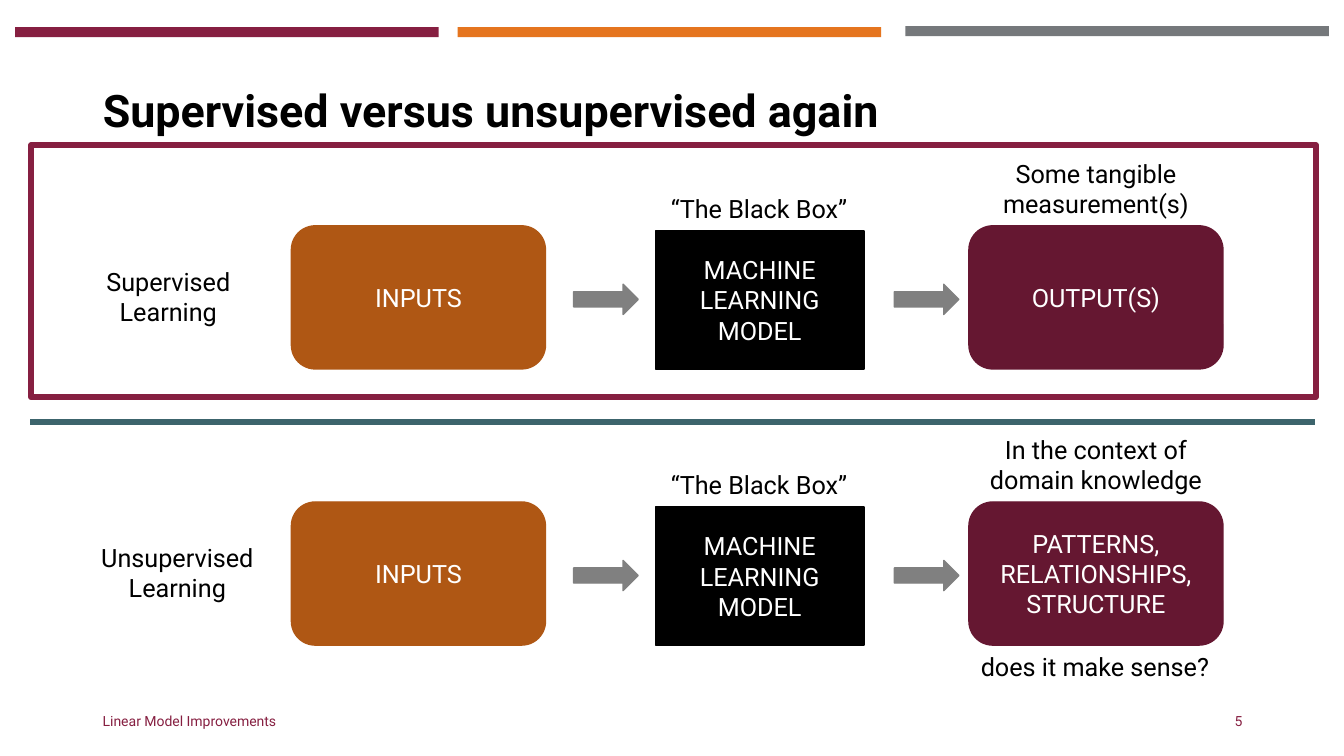
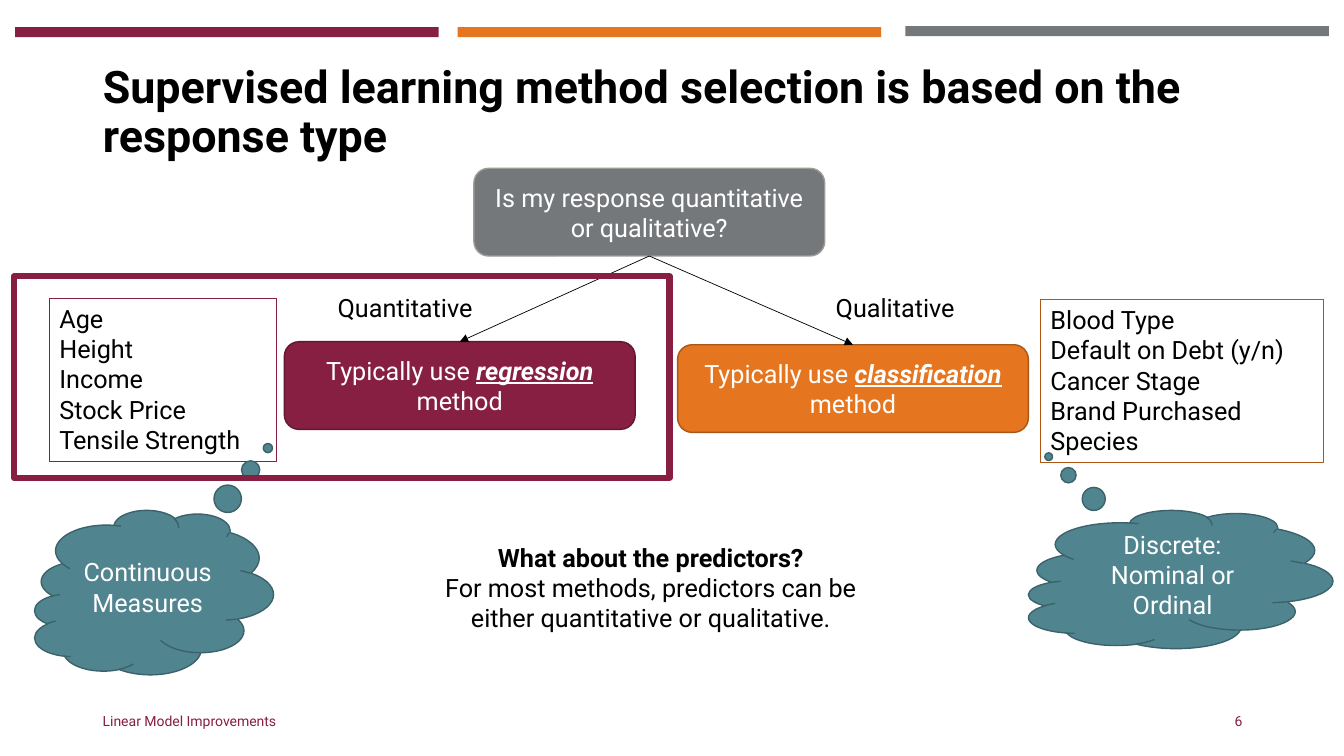
from lxml import etree
from pptx import Presentation
from pptx.dml.color import RGBColor
from pptx.enum.shapes import MSO_CONNECTOR, MSO_SHAPE
from pptx.enum.text import MSO_ANCHOR, MSO_AUTO_SIZE, PP_ALIGN
from pptx.oxml.ns import qn
from pptx.util import Inches, Pt

RECT, ROUNDED = MSO_SHAPE.RECTANGLE, MSO_SHAPE.ROUNDED_RECTANGLE
ARROW, CLOUD = MSO_SHAPE.RIGHT_ARROW, MSO_SHAPE.CLOUD_CALLOUT
STRAIGHT = MSO_CONNECTOR.STRAIGHT
LEFT, CENTER, RIGHT = PP_ALIGN.LEFT, PP_ALIGN.CENTER, PP_ALIGN.RIGHT
TOP, MIDDLE = MSO_ANCHOR.TOP, MSO_ANCHOR.MIDDLE
NO_AUTOFIT = MSO_AUTO_SIZE.NONE
TITLE_ONLY = 5
BOTTOM_SITE, TOP_SITE = 2, 0

FONT = "Roboto"
BODY_SIZE, TITLE_SIZE, FOOTER_SIZE = 18, 32, 10
COLORS = {
    "black": "000000", "white": "FFFFFF", "maroon": "861F41",
    "dark maroon": "651731", "maroon edge": "631730",
    "orange": "E5751F", "burnt orange": "AF5714", "orange edge": "A95717",
    "gray": "75787B", "gray edge": "9F9B96", "arrow gray": "808080",
    "teal": "508590", "teal edge": "3B626B", "divider": "3C646C",
}

SLIDE_W, SLIDE_H = 13.33, 7.5
MARGIN, CONTENT_W = 0.92, 11.5
BAND_W, BAND_H = 4.2, 0.1
BANDS = [("maroon", 0.15, 0.27), ("orange", 4.54, 0.27), ("gray", 8.98, 0.26)]
FOOTER_TOP, FOOTER_H = 6.95, 0.4
LINE_H, TWO_LINES_H = 0.4, 0.71

# Columns of the process rows
INPUT_X, MODEL_X, OUTPUT_X = 2.89, 6.5, 9.61
ARROW_XS = (5.69, 8.87)
BOX_W, BOX_H = 2.52, 1.42
MODEL_W, MODEL_H = 2.07, 1.37
ROW_TOP, ROW_STEP = 2.24, 2.74

# Decision tree
CHOICE_W, CHOICE_H = 3.48, 0.87


def rgb(name):
    return RGBColor.from_string(COLORS[name])


def inches(*lengths):
    return [Inches(length) for length in lengths]


def style_paragraph(paragraph, size, color, align):
    paragraph.alignment = align
    font = paragraph.font
    font.name, font.size = FONT, Pt(size)
    font.color.rgb = rgb(color)


def write(frame, paragraphs, color="black", align=CENTER, anchor=TOP, size=BODY_SIZE):
    """Fill a text frame; a part between underscores is emphasised."""
    frame.word_wrap = True
    frame.vertical_anchor = anchor
    for index, text in enumerate(paragraphs):
        paragraph = frame.add_paragraph() if index else frame.paragraphs[0]
        for part_index, part in enumerate(text.split("_")):
            if part_index % 2:
                run = paragraph.add_run()
                run.text = part
                run.font.bold = run.font.italic = run.font.underline = True
            else:
                # add_line_break keeps a forced break inside one paragraph
                for line_index, line in enumerate(part.split("\n")):
                    if line_index:
                        paragraph.add_line_break()
                    paragraph.add_run().text = line
        style_paragraph(paragraph, size, color, align)


def add_label(slide, box, *paragraphs, **style):
    label = slide.shapes.add_textbox(*inches(*box))
    write(label.text_frame, paragraphs, **style)
    return label


def add_box(slide, kind, box, fill=None, edge=None, weight=1, text=(), **style):
    shape = slide.shapes.add_shape(kind, *inches(*box))
    shape.shadow.inherit = False
    if fill:
        shape.fill.solid()
        shape.fill.fore_color.rgb = rgb(fill)
    else:
        shape.fill.background()
    if edge:
        shape.line.color.rgb = rgb(edge)
        shape.line.width = Pt(weight)
    else:
        shape.line.fill.background()
    if text:
        write(shape.text_frame, text, **{"color": "white", "anchor": MIDDLE, **style})
    return shape


def add_line(slide, start, end, color, weight, arrow=False):
    line = slide.shapes.add_connector(STRAIGHT, *inches(*start, *end))
    line.line.color.rgb = rgb(color)
    line.line.width = Pt(weight)
    if arrow:
        etree.SubElement(line.line._get_or_add_ln(), qn("a:tailEnd"), type="triangle")
    etree.SubElement(line._element.spPr, qn("a:effectLst"))
    return line


def add_branch(slide, question, choice):
    branch = add_line(slide, (0, 0), (0, 0), "black", 0.5, arrow=True)
    branch.begin_connect(question, BOTTOM_SITE)
    branch.end_connect(choice, TOP_SITE)


def add_thought(slide, center, width, height, tail, text):
    """Add a cloud turned on its side, with upright text and a tail going up."""
    x, y = center
    cloud = add_box(slide, CLOUD, (x - height / 2, y - width / 2, height, width),
                    "teal", "teal edge", text=[text])
    cloud.adjustments[0], cloud.adjustments[1] = tail
    cloud.rotation = 270
    cloud._element.spPr.find(qn("a:xfrm")).set("flipH", "1")
    cloud.text_frame._txBody.bodyPr.set("vert", "vert")


def add_base_slide(deck, title_text, number):
    slide = deck.slides.add_slide(deck.slide_layouts[TITLE_ONLY])
    for color, left, top in BANDS:
        add_box(slide, RECT, (left, top, BAND_W, BAND_H), color)
    title = slide.shapes.title
    title.left, title.top, title.width, title.height = inches(
        MARGIN, 0.4, CONTENT_W, 1.45)
    write(title.text_frame, [title_text], align=LEFT, anchor=MIDDLE, size=TITLE_SIZE)
    title.text_frame.auto_size = NO_AUTOFIT
    heading = title.text_frame.paragraphs[0]
    heading.line_spacing = 0.9
    heading.font.bold = True
    footer = {"color": "maroon", "anchor": MIDDLE, "size": FOOTER_SIZE}
    add_label(slide, (MARGIN, FOOTER_TOP, 4.5, FOOTER_H),
              "Linear Model Improvements", align=LEFT, **footer)
    add_label(slide, (MARGIN + CONTENT_W - 3, FOOTER_TOP, 3, FOOTER_H),
              str(number), align=RIGHT, **footer)
    return slide


def add_process_row(slide, top, name, name_left, outputs, remark):
    add_label(slide, (name_left, top + 0.35, 1.9, TWO_LINES_H), name)
    add_box(slide, ROUNDED, (INPUT_X, top, BOX_W, BOX_H),
            "burnt orange", "burnt orange", text=["INPUTS"])
    add_label(slide, (MODEL_X - 0.25, top - 0.37, 2.56, LINE_H), "“The Black Box”")
    add_box(slide, RECT, (MODEL_X, top + BOX_H - MODEL_H, MODEL_W, MODEL_H),
            "black", "black", text=["MACHINE LEARNING MODEL"])
    add_label(slide, (OUTPUT_X, top - 0.72, BOX_W, TWO_LINES_H), remark)
    add_box(slide, ROUNDED, (OUTPUT_X, top, BOX_W, BOX_H),
            "dark maroon", "dark maroon", text=outputs)
    for left in ARROW_XS:
        add_box(slide, ARROW, (left, top + 0.58, 0.64, 0.3), "arrow gray", "arrow gray")


def build_comparison(deck):
    slide = add_base_slide(deck, "Supervised versus unsupervised again", 5)
    add_process_row(slide, ROW_TOP, "Supervised Learning", 0.72,
                    ["OUTPUT(S)"], "Some tangible measurement(s)")
    add_process_row(slide, ROW_TOP + ROW_STEP, "Unsupervised Learning", 0.81,
                    ["PATTERNS,", "RELATIONSHIPS, STRUCTURE"],
                    "In the context of domain knowledge")
    add_label(slide, (9.45, 6.41, 2.82, LINE_H), "does it make sense?")
    add_line(slide, (0.3, 4.19), (13.04, 4.19), "divider", 4.5)
    add_box(slide, RECT, (0.31, 1.44, 12.74, 2.5), edge="maroon", weight=4.5)


def build_method_choice(deck):
    slide = add_base_slide(
        deck, "Supervised learning method selection is based on the response type", 6)
    question = add_box(slide, ROUNDED, (4.7, 1.67, CHOICE_W, CHOICE_H),
                       "gray", "gray edge",
                       text=["Is my response quantitative or qualitative?"])
    choices = [
        ("regression", 2.82, 3.39, "maroon", "maroon edge"),
        ("classification", 6.72, 3.42, "orange", "orange edge"),
    ]
    for method, left, top, fill, edge in choices:
        choice = add_box(slide, ROUNDED, (left, top, CHOICE_W, CHOICE_H), fill, edge,
                         text=[f"Typically use _{method}_ method"])
        add_branch(slide, question, choice)
    for answer, left in (("Quantitative", 3.25), ("Qualitative", 8.19)):
        add_label(slide, (left, 2.85, 2.05, LINE_H), answer, align=LEFT)

    examples = [
        ((0.49, 2.96, 2.25, 1.62), "maroon",
         ["Age", "Height", "Income", "Stock Price", "Tensile Strength"]),
        ((10.32, 2.97, 2.81, 1.62), "burnt orange",
         ["Blood Type", "Default on Debt (y/n)", "Cancer Stage",
          "Brand Purchased", "Species"]),
    ]
    for box, edge, variables in examples:
        add_box(slide, RECT, box, edge=edge, weight=0.75, text=variables,
                color="black", align=LEFT, anchor=TOP)

    predictors = add_label(slide, (3.12, 5.33, 6.67, 1.01),
                           "What about the predictors?",
                           "For most methods, predictors can be",
                           "either quantitative or qualitative.")
    predictors.text_frame.paragraphs[0].font.bold = True
    add_thought(slide, (1.52, 5.88), 2.37, 1.63, (-0.88, 0.48), "Continuous Measures")
    add_thought(slide, (11.7, 5.75), 3.02, 1.37, (-0.89, -0.43),
                "Discrete:\nNominal or Ordinal")
    add_box(slide, RECT, (0.14, 2.74, 6.5, 2), edge="maroon", weight=4.5)


def main():
    deck = Presentation()
    deck.slide_width, deck.slide_height = inches(SLIDE_W, SLIDE_H)
    build_comparison(deck)
    build_method_choice(deck)
    deck.save("out.pptx")


if __name__ == "__main__":
    main()
